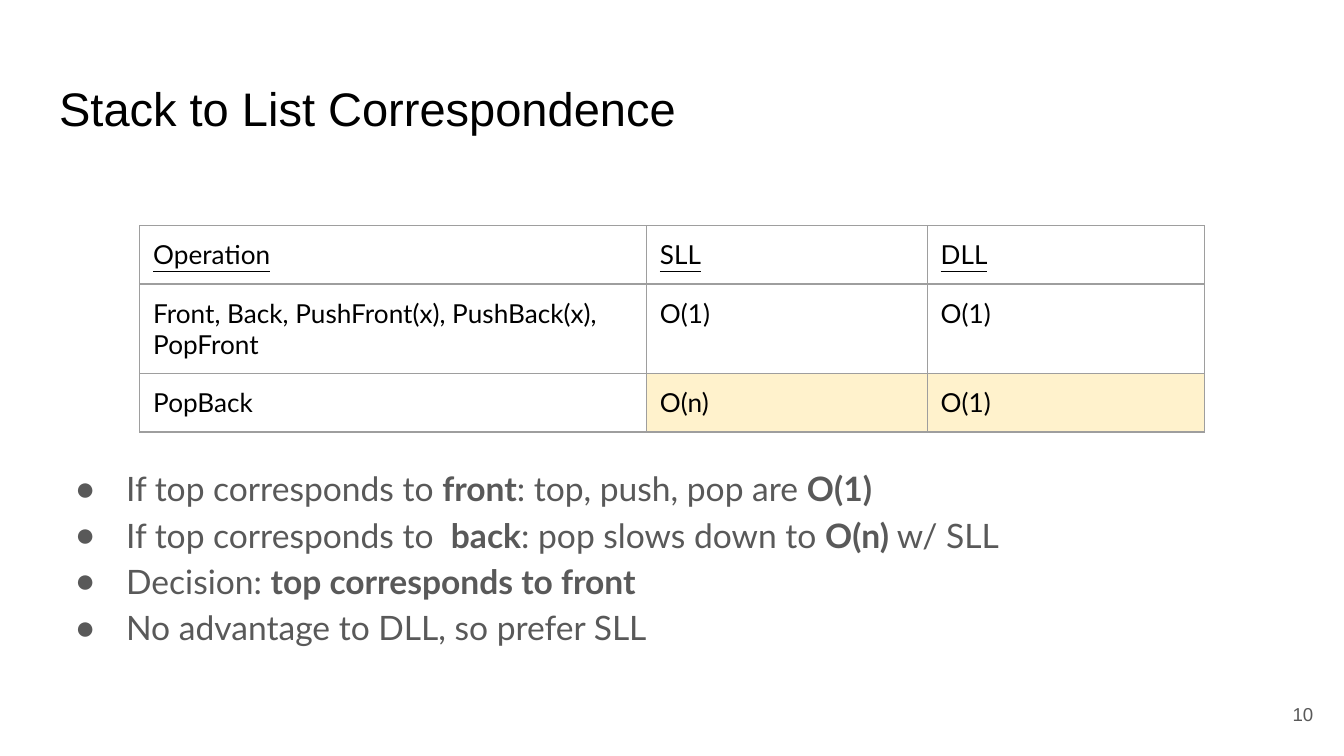
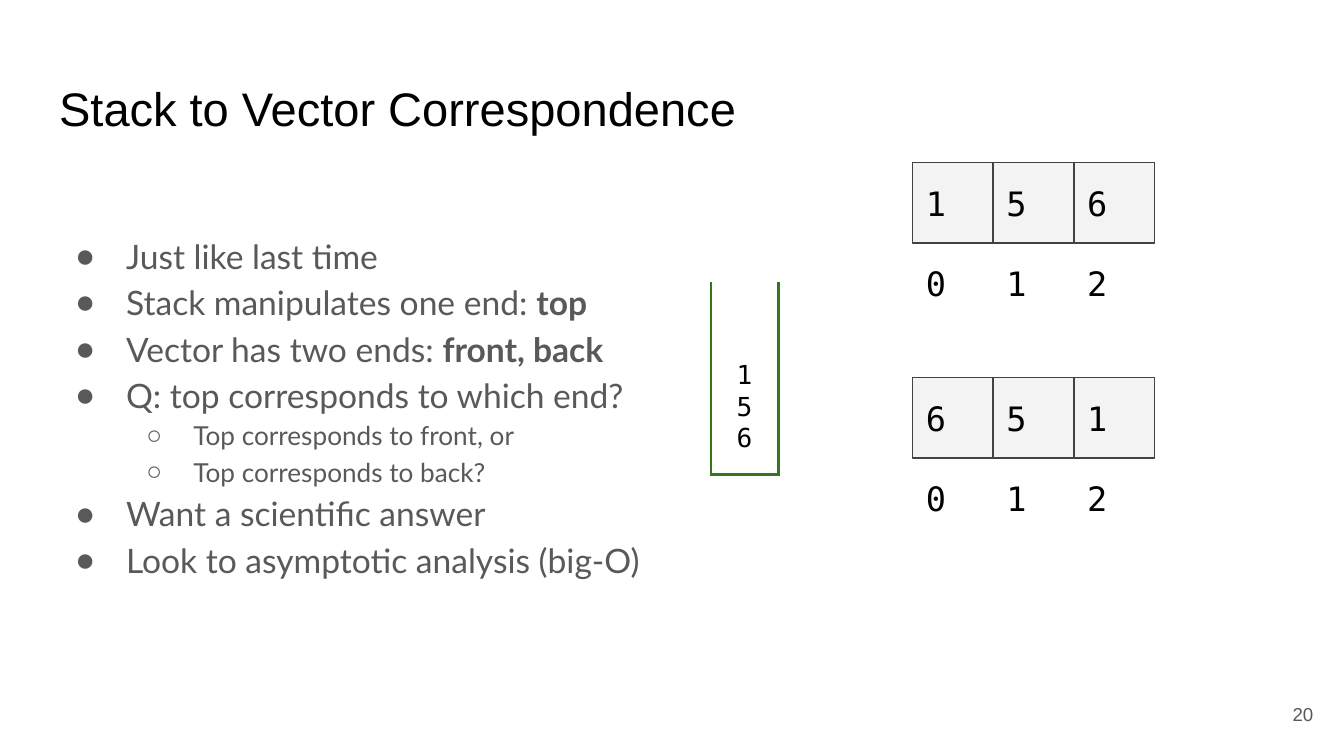
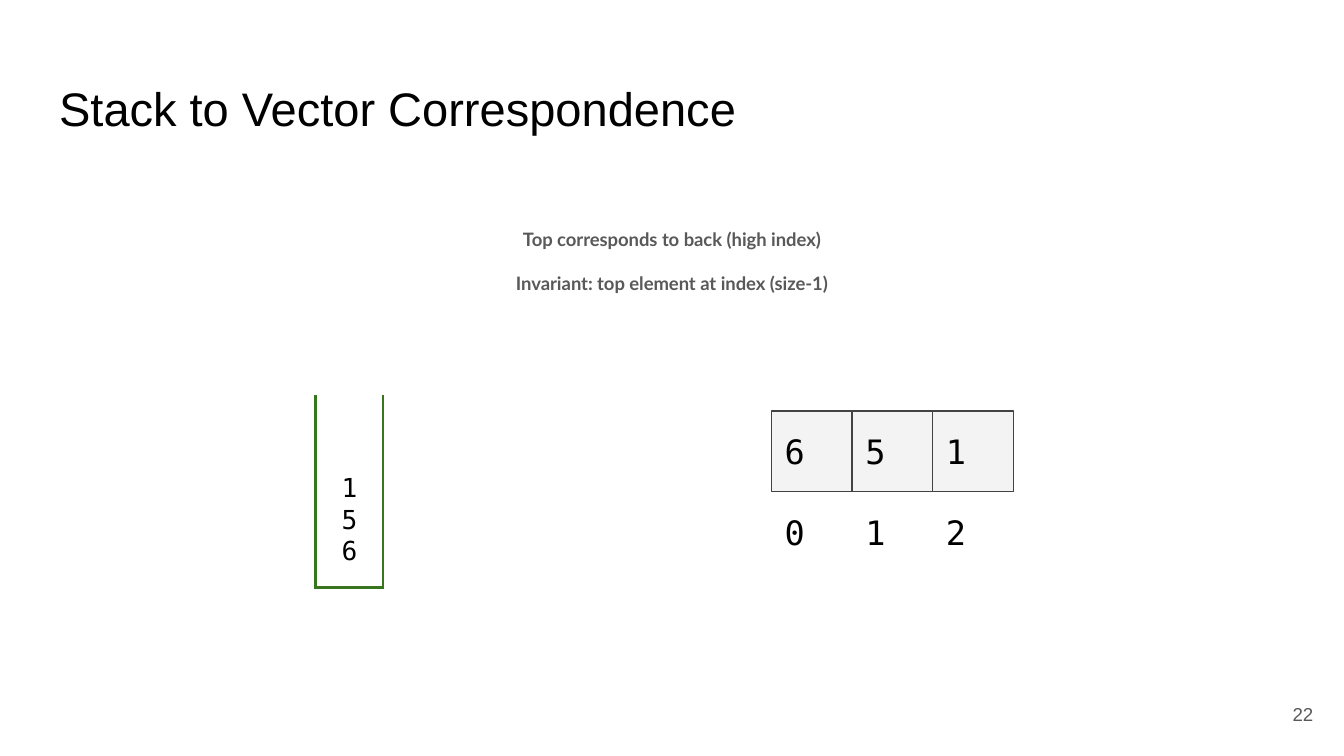
from lxml.etree import SubElement
from pptx import Presentation
from pptx.dml.color import RGBColor
from pptx.enum.shapes import MSO_CONNECTOR, MSO_SHAPE
from pptx.enum.text import MSO_ANCHOR as Anchor, MSO_AUTO_SIZE, PP_ALIGN as Align
from pptx.oxml.ns import qn
from pptx.util import Inches, Pt

COLORS = {
    "black": "000000", "gray": "595959", "border": "9E9E9E", "highlight": "FFF2CC",
    "stack": "38761D", "slot": "F3F3F3", "slot_line": "424242",
}
SANS, BODY, MONO = "Arial", "Lato", "DejaVu Sans Mono"
MARGIN = 0.1
LEFT, FULL_WIDTH = 0.34, 9.32
SLOT = 0.6
BULLETS = [("●", 0.5, -0.38, 18), ("○", 1, -0.35, 14)]


def color(name):
    return RGBColor.from_string(COLORS[name])


def format_font(font, face, size, tint="black", bold=False):
    font.name, font.size, font.bold = face, Pt(size), bold
    font.color.rgb = color(tint)


def set_up_frame(frame, anchor=Anchor.TOP):
    frame.word_wrap = True
    frame.auto_size = MSO_AUTO_SIZE.NONE
    frame.vertical_anchor = anchor
    frame.margin_left = frame.margin_right = Inches(MARGIN)
    frame.margin_top = frame.margin_bottom = Inches(MARGIN)


def fill_frame(frame, text, face, size, tint="black", align=Align.LEFT,
               anchor=Anchor.TOP, bold=False):
    set_up_frame(frame, anchor)
    frame.text = text
    for para in frame.paragraphs:
        para.alignment = align
        for span in para.runs:
            format_font(span.font, face, size, tint, bold)


def add_text(shapes, box, *args, **options):
    frame = shapes.add_textbox(*map(Inches, box)).text_frame
    fill_frame(frame, *args, **options)
    return frame


def add_page(deck, title, number):
    page = deck.slides.add_slide(deck.slide_layouts[5])
    heading = page.shapes.title
    heading.left, heading.top = Inches(LEFT), Inches(0.49)
    heading.width, heading.height = Inches(FULL_WIDTH), Inches(0.63)
    fill_frame(heading.text_frame, title, SANS, 25.2)
    add_text(page.shapes, (9.27, 5.1, 0.6, 0.43), str(number), SANS, 10, "gray",
             align=Align.RIGHT, anchor=Anchor.MIDDLE)
    return page


def add_bullets(page, box, items):
    """Items are (level, text) pairs; ** switches bold on and off."""
    frame = page.shapes.add_textbox(*map(Inches, box)).text_frame
    set_up_frame(frame)
    for index, (level, text) in enumerate(items):
        mark, margin, indent, size = BULLETS[level]
        para = frame.add_paragraph() if index else frame.paragraphs[0]
        para.level, para.line_spacing = level, 1.15
        props = para._p.get_or_add_pPr()
        props.set("marL", str(Inches(margin)))
        props.set("indent", str(Inches(indent)))
        tint = SubElement(props, qn("a:buClr"))
        SubElement(tint, qn("a:srgbClr"), val=COLORS["gray"])
        SubElement(props, qn("a:buFont"), typeface=SANS)
        SubElement(props, qn("a:buChar"), char=mark)
        for part, piece in enumerate(text.split("**")):
            if piece:
                span = para.add_run()
                span.text = piece
                format_font(span.font, BODY, size, "gray", bold=part % 2 == 1)


def add_cell_borders(cell):
    props = cell._tc.get_or_add_tcPr()
    for side in ("L", "R", "T", "B"):
        line = SubElement(props, qn(f"a:ln{side}"), w=str(Pt(0.75)))
        solid = SubElement(line, qn("a:solidFill"))
        SubElement(solid, qn("a:srgbClr"), val=COLORS["border"])


def add_cost_table(page, left, top, widths, row_height, rows, highlighted):
    table = page.shapes.add_table(
        len(rows), len(widths), Inches(left), Inches(top),
        Inches(sum(widths)), Inches(row_height * len(rows))).table
    table.first_row = table.horz_banding = False
    for column, width in zip(table.columns, widths):
        column.width = Inches(width)
    for r, texts in enumerate(rows):
        table.rows[r].height = Inches(row_height)
        for c, text in enumerate(texts):
            cell = table.cell(r, c)
            cell.margin_left = cell.margin_right = Inches(MARGIN)
            cell.margin_top = cell.margin_bottom = Inches(MARGIN)
            add_cell_borders(cell)
            if (r, c) in highlighted:
                cell.fill.solid()
                cell.fill.fore_color.rgb = color("highlight")
            else:
                cell.fill.background()
            cell.text = text
            font = cell.text_frame.paragraphs[0].runs[0].font
            format_font(font, BODY, 14)
            font.underline = r == 0


def add_line(shapes, x1, y1, x2, y2):
    line = shapes.add_connector(MSO_CONNECTOR.STRAIGHT, *map(Inches, (x1, y1, x2, y2)))
    line.line.color.rgb, line.line.width = color("stack"), Pt(1.5)
    SubElement(line._element.spPr, qn("a:effectLst"))


def add_stack(page, left, top, values):
    """Draw an open-topped container with the values resting at its bottom."""
    width, height, overlap = 0.5, 1.43, 0.01
    right, bottom = left + width, top + height
    shapes = page.shapes.add_group_shape().shapes
    for x in (left, right):
        add_line(shapes, x, top, x, bottom)
    frame = add_text(shapes, (left, top, width, height), "\n".join(values), MONO, 14,
                     align=Align.CENTER, anchor=Anchor.BOTTOM)
    frame.margin_bottom = Inches(0.16)
    add_line(shapes, right + overlap, bottom, left - overlap, bottom)


def add_vector(page, left, top, values):
    """Draw a row of slots with their indexes underneath."""
    for index, value in enumerate(values):
        x = left + index * SLOT
        slot = page.shapes.add_shape(MSO_SHAPE.RECTANGLE, *map(Inches, (x, top, SLOT, SLOT)))
        slot.shadow.inherit = False
        slot.fill.solid()
        slot.fill.fore_color.rgb = color("slot")
        slot.line.color.rgb, slot.line.width = color("slot_line"), Pt(0.75)
        fill_frame(slot.text_frame, value, MONO, 18, anchor=Anchor.MIDDLE)
        add_text(page.shapes, (x, top + SLOT, SLOT, SLOT), str(index), MONO, 18,
                 anchor=Anchor.MIDDLE)


def build_list_costs(deck):
    page = add_page(deck, "Stack to List Correspondence", 10)
    add_bullets(page, (LEFT, 3.34, FULL_WIDTH, 1.6), [
        (0, "If top corresponds to **front**: top, push, pop are **O(1)**"),
        (0, "If top corresponds to  **back**: pop slows down to **O(n)** w/ SLL"),
        (0, "Decision: **top corresponds to front**"),
        (0, "No advantage to DLL, so prefer SLL"),
    ])
    add_cost_table(page, 1.04, 1.68, (3.77, 2.09, 2.06), 0.42, [
        ("Operation", "SLL", "DLL"),
        ("Front, Back, PushFront(x), PushBack(x), PopFront", "O(1)", "O(1)"),
        ("PopBack", "O(n)", "O(1)"),
    ], highlighted={(2, 1), (2, 2)})


def build_vector_question(deck):
    page = add_page(deck, "Stack to Vector Correspondence", 20)
    add_bullets(page, (LEFT, 1.61, 4.66, 3.39), [
        (0, "Just like last time"),
        (0, "Stack manipulates one end: **top**"),
        (0, "Vector has two ends: **front, back**"),
        (0, "Q: top corresponds to which end?"),
        (1, "Top corresponds to front, or"),
        (1, "Top corresponds to back?"),
        (0, "Want a scientific answer"),
        (0, "Look to asymptotic analysis (big-O)"),
    ])
    add_stack(page, 5.29, 2.1, "156")
    add_vector(page, 6.79, 1.21, "156")
    add_vector(page, 6.79, 2.81, "651")


def build_vector_answer(deck):
    page = add_page(deck, "Stack to Vector Correspondence", 22)
    frame = add_text(
        page.shapes, (LEFT, 1.61, FULL_WIDTH, 0.69),
        "Top corresponds to back (high index)\nInvariant: top element at index (size-1)",
        BODY, 9.9, "gray", align=Align.CENTER, bold=True)
    for para in frame.paragraphs:
        para.line_spacing = 0.95
    para.space_before = para.space_after = Pt(12)
    add_stack(page, 2.35, 2.94, "156")
    add_vector(page, 5.74, 3.06, "651")


def main():
    deck = Presentation()
    deck.slide_width = Inches(10)
    deck.slide_height = deck.slide_width * 9 // 16
    build_list_costs(deck)
    build_vector_question(deck)
    build_vector_answer(deck)
    deck.save("out.pptx")


if __name__ == "__main__":
    main()
